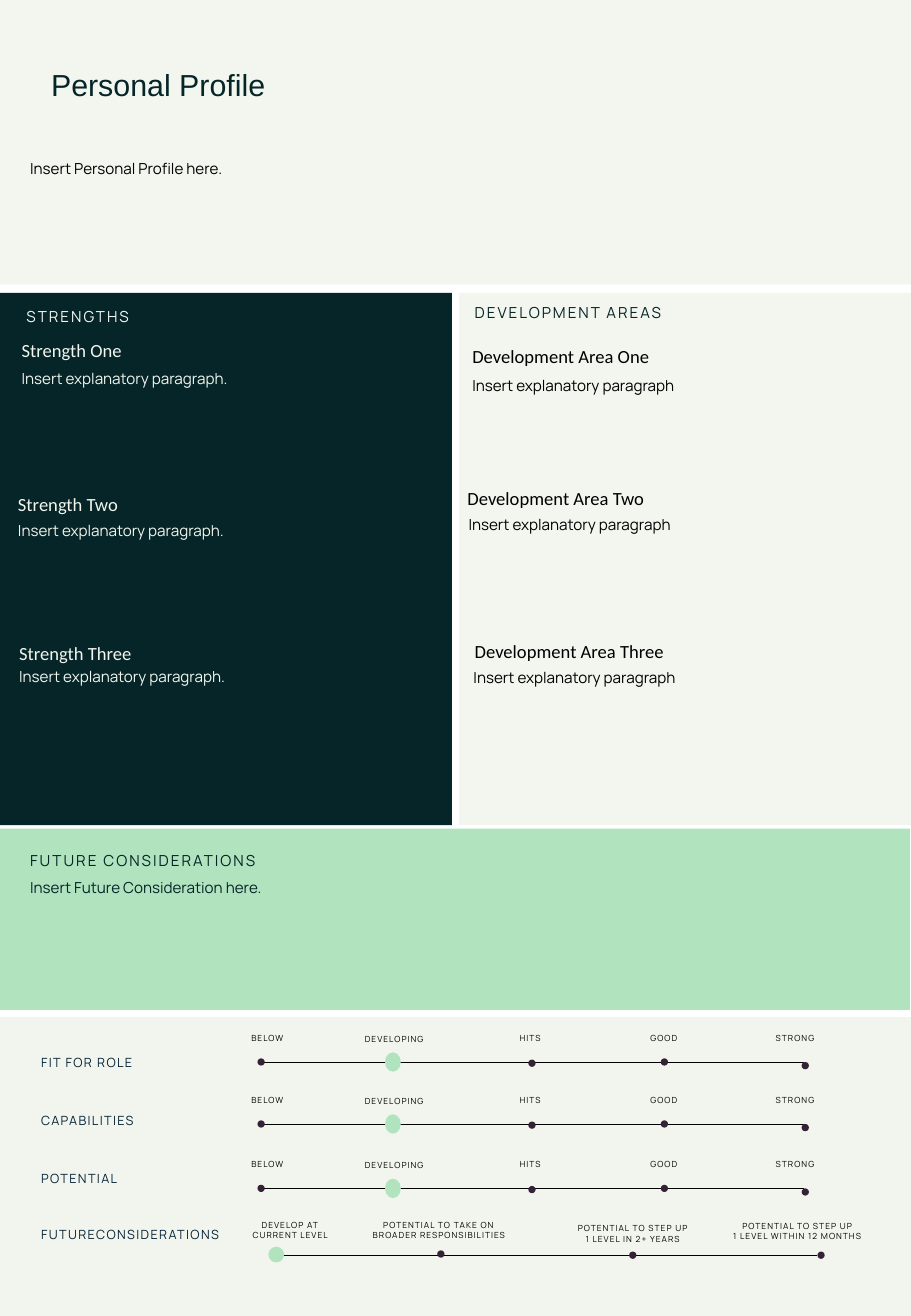
from lxml import etree
from pptx import Presentation
from pptx.dml.color import RGBColor
from pptx.enum.shapes import MSO_CONNECTOR, MSO_SHAPE
from pptx.enum.text import MSO_ANCHOR, MSO_AUTO_SIZE, PP_ALIGN
from pptx.oxml.ns import qn
from pptx.util import Inches, Pt

RECTANGLE, OVAL = MSO_SHAPE.RECTANGLE, MSO_SHAPE.OVAL
STRAIGHT = MSO_CONNECTOR.STRAIGHT
LEFT, CENTER = PP_ALIGN.LEFT, PP_ALIGN.CENTER
TOP, GROW = MSO_ANCHOR.TOP, MSO_AUTO_SIZE.SHAPE_TO_FIT_TEXT
TITLE_ONLY = 5

COLORS = {
    "mint": "B0E3BE",
    "cream": "F3F6EE",
    "pale": "F2F5ED",
    "forest": "052528",
    "navy": "072538",
    "plum": "362237",
    "black": "000000",
}

STYLES = {
    "title": ({"name": "Arial", "size": Pt(18)}, 0),
    "section": ({"name": "Manrope", "size": Pt(9)}, 1.2),
    "heading": ({"name": "Calibri", "size": Pt(11)}, 0),
    "body": ({"name": "Manrope", "size": Pt(9)}, 0),
    "criterion": ({"name": "Manrope", "size": Pt(7.5)}, 0.8),
    "label": ({"name": "Manrope", "size": Pt(5)}, 0.6),
}

PANELS = [
    (0, 6.82, 7.49, 1.49, "mint"),
    (3.78, 2.41, 3.72, 4.38, "cream"),
    (0, 2.41, 3.72, 4.38, "forest"),
    (0, 0, 7.5, 2.34, "cream"),
    (0, 8.37, 7.5, 2.46, "pale"),
]

SECTIONS = [
    ("STRENGTHS", 0.12, 2.48, "cream"),
    ("DEVELOPMENT AREAS", 3.81, 2.45, "forest"),
    ("FUTURE CONSIDERATIONS", 0.15, 6.96, "forest"),
]

STRENGTHS = [
    ("Strength One", 0.08, 2.74, 0.08, 2.99),
    ("Strength Two", 0.05, 4.01, 0.05, 4.24),
    ("Strength Three", 0.06, 5.23, 0.06, 5.44),
]

DEVELOPMENT_AREAS = [
    ("Development Area One", 3.79, 2.79, 3.79, 3.05),
    ("Development Area Two", 3.75, 3.96, 3.76, 4.19),
    ("Development Area Three", 3.81, 5.22, 3.8, 5.45),
]

CRITERIA = [
    ("FIT FOR ROLE", 8.63, 8.74),
    ("CAPABILITIES", 9.11, 9.25),
    ("POTENTIAL", 9.59, 9.78),
]

RATINGS = [
    ("BELOW", 1.97, 0.91, LEFT, 0),
    ("DEVELOPING", 2.72, 1.05, CENTER, 0.01),
    ("HITS", 3.84, 1.05, CENTER, 0),
    ("GOOD", 4.94, 1.05, CENTER, 0),
    ("STRONG", 6.02, 1.05, CENTER, 0),
]
RATING_DOTS = [(2.12, 0), (3.22, 0), (4.35, 0.01), (5.44, 0), (6.6, 0.03)]

OUTLOOKS = [
    (["DEVELOP AT CURRENT LEVEL"], 1.97, 9.99, 0.84),
    (["POTENTIAL TO TAKE ON BROADER RESPONSIBILITIES"], 2.88, 9.99, 1.47),
    (["POTENTIAL TO STEP UP", "1 LEVEL IN 2+ YEARS"], 4.48, 10.02, 1.46),
    (["POTENTIAL TO STEP UP", "1 LEVEL WITHIN 12 MONTHS"], 5.73, 10, 1.67),
]
OUTLOOK_DOTS = [(2.22, 0), (3.6, -0.01), (5.18, 0), (6.73, 0)]


def rgb(color):
    return RGBColor.from_string(COLORS[color])


def write(box, lines, style, color, align=LEFT):
    font, spacing = STYLES[style]
    frame = box.text_frame
    frame.word_wrap = True
    frame.auto_size = GROW
    frame.vertical_anchor = TOP
    frame.text = "\n".join(lines)
    for para in frame.paragraphs:
        para.alignment = align
        for span in para.runs:
            for name, value in font.items():
                setattr(span.font, name, value)
            span.font.color.rgb = rgb(color)
            if spacing:
                span._r.get_or_add_rPr().set("spc", str(round(spacing * 100)))


def add_text(page, lines, left, top, width, height, style, color, align=LEFT):
    box = page.shapes.add_textbox(
        Inches(left), Inches(top), Inches(width), Inches(height))
    write(box, lines, style, color, align)


def add_shape(page, kind, left, top, width, height, color):
    shape = page.shapes.add_shape(
        kind, Inches(left), Inches(top), Inches(width), Inches(height))
    shape.shadow.inherit = False
    shape.fill.solid()
    shape.fill.fore_color.rgb = rgb(color)
    shape.line.fill.background()


def add_scale(page, start, end, y, dots):
    line = page.shapes.add_connector(
        STRAIGHT, Inches(start), Inches(y), Inches(end), Inches(y))
    line.line.color.rgb = rgb("black")
    line.line.width = Pt(0.5)
    etree.SubElement(line._element.spPr, qn("a:effectLst"))
    for left, shift in dots:
        add_shape(page, OVAL, left, y - 0.03 + shift, 0.06, 0.06, "plum")


def add_title(page):
    title = page.shapes.title
    page.shapes._spTree.append(title._element)
    place = {"left": 0.32, "top": 0.49, "width": 5.07, "height": 0.4}
    for name, value in place.items():
        setattr(title, name, Inches(value))
    write(title, ["Personal Profile"], "title", "forest")


def add_points(page, points, explanation, color):
    for heading, left, top, body_left, body_top in points:
        add_text(page, [heading], left, top, 3.7, 0.27, "heading", color)
        add_text(page, [explanation], body_left, body_top, 3.7, 0.25,
                 "body", color)


def add_rating(page, criterion, top, y):
    add_text(page, [criterion], 0.24, top, 1.84, 0.23, "criterion", "navy")
    for rating, left, width, align, shift in RATINGS:
        add_text(page, [rating], left, y - 0.29 + shift, width, 0.19,
                 "label", "black", align)
    add_scale(page, 2.14, 6.62, y, RATING_DOTS)
    add_shape(page, OVAL, 3.17, y - 0.08, 0.13, 0.16, "mint")


def add_outlook(page):
    add_text(page, ["FUTURECONSIDERATIONS"], 0.24, 10.05, 1.84, 0.23,
             "criterion", "navy")
    for lines, left, top, width in OUTLOOKS:
        add_text(page, lines, left, top, width, 0.27, "label", "black", CENTER)
    add_scale(page, 2.24, 6.73, 10.33, OUTLOOK_DOTS)
    add_shape(page, OVAL, 2.21, 10.26, 0.13, 0.13, "mint")


def main():
    deck = Presentation()
    deck.slide_width, deck.slide_height = Inches(7.5), Inches(10.83)
    page = deck.slides.add_slide(deck.slide_layouts[TITLE_ONLY])
    for left, top, width, height, color in PANELS:
        add_shape(page, RECTANGLE, left, top, width, height, color)
    add_title(page)
    add_text(page, ["Insert Personal Profile here."], 0.15, 1.26, 7.31, 0.25,
             "body", "black")
    for section, left, top, color in SECTIONS:
        add_text(page, [section], left, top, 2.8, 0.25, "section", color)
    add_points(page, STRENGTHS, "Insert explanatory paragraph.", "cream")
    add_points(page, DEVELOPMENT_AREAS, "Insert explanatory paragraph", "black")
    add_text(page, ["Insert Future Consideration here."], 0.15, 7.18, 6.88,
             0.25, "body", "forest")
    for criterion, top, y in CRITERIA:
        add_rating(page, criterion, top, y)
    add_outlook(page)
    deck.save("out.pptx")


if __name__ == "__main__":
    main()
